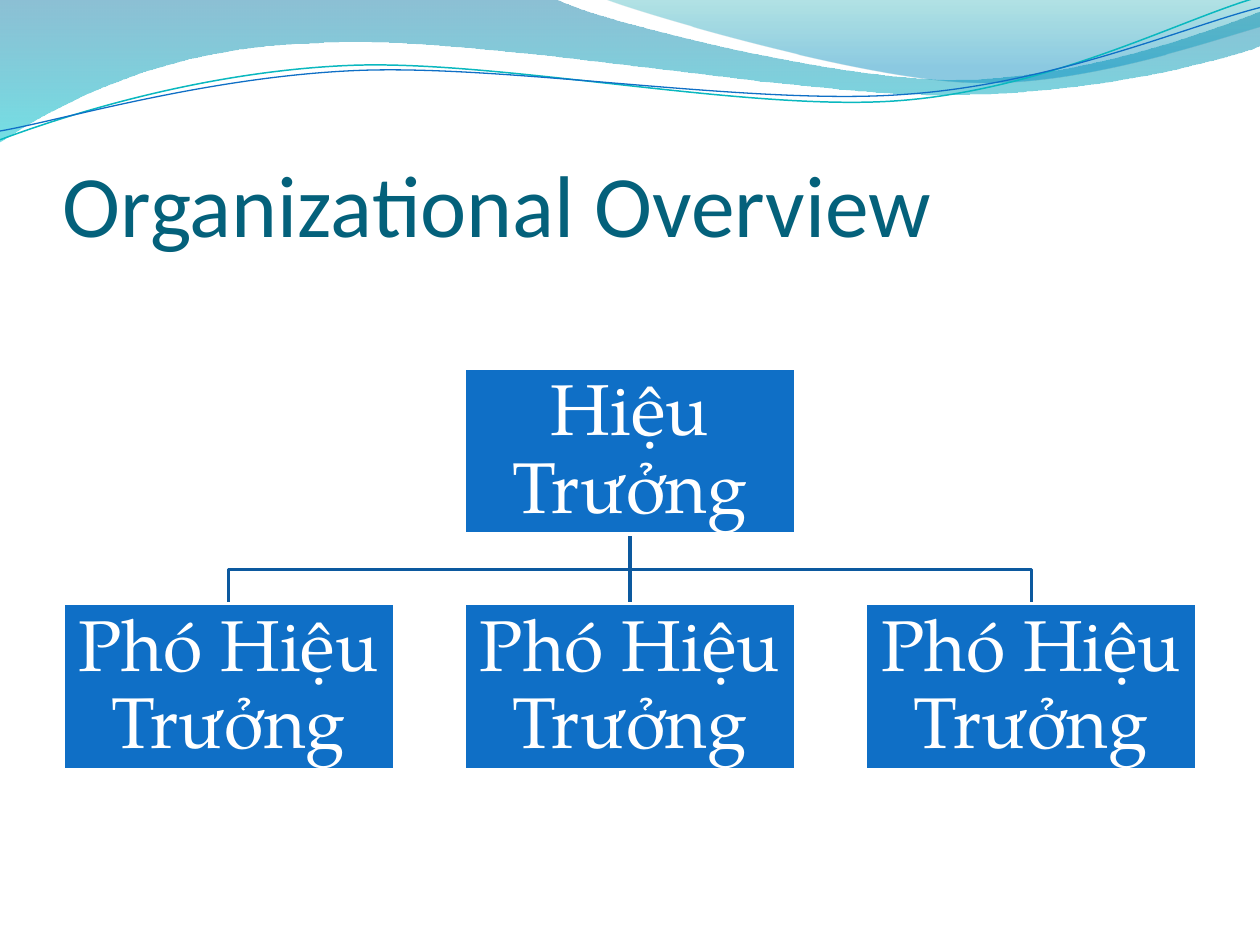
import lxml.etree
import pptx
import pptx.util
import pptx.dml.color
import pptx.enum.shapes
import pptx.enum.text
import pptx.oxml.ns
from pptx.util import Inches
from dataclasses import dataclass


@dataclass(frozen=True)
class Theme:
    blue: str = "0F6FC6"
    branch: str = "0C599F"
    teal: str = "0AB8BF"
    title: str = "04617B"
    white: str = "FFFFFF"
    title_font: str = "Calibri"
    box_font: str = "TeX Gyre Pagella"
    title_size: int = 50
    box_size: int = 41


theme = Theme()
ANCHOR = pptx.enum.text.MSO_ANCHOR
ALIGN = pptx.enum.text.PP_ALIGN
rgb = pptx.dml.color.RGBColor.from_string
qn = pptx.oxml.ns.qn


def write_text(shape, text, *, font, size, color, anchor, align, margins, spacing=1.0):
    """Fill a shape with one paragraph; margins run left, top, right, bottom."""
    frame = shape.text_frame
    frame.word_wrap = True
    frame.vertical_anchor = anchor
    frame.margin_left, frame.margin_top, frame.margin_right, frame.margin_bottom = map(Inches, margins)
    para = frame.paragraphs[0]
    para.alignment = align
    para.line_spacing = spacing
    span = para.add_run()
    span.text = text
    span.font.name = font
    span.font.size = pptx.util.Pt(size)
    span.font.color.rgb = rgb(color)


def draw_outline(shapes, start, segments, closed=False):
    """Each segment is an end point (x, y), or six numbers for a cubic curve."""
    ends = [start] + [segment[-2:] for segment in segments]
    xs, ys = zip(*ends)
    left, right, top, bottom = min(xs), max(xs), min(ys), max(ys)
    if left == right:  # a vertical line still needs a frame with some width
        left, right = left - 0.05, right + 0.05
    builder = shapes.build_freeform(Inches(left), Inches(top), scale=1.0)
    builder.add_line_segments([(Inches(right), Inches(bottom))], close=False)
    shape = builder.convert_to_shape()
    shape.shadow.inherit = False

    outline = next(shape.element.spPr.iter(qn("a:path")))
    for child in list(outline):
        outline.remove(child)
    tags = {2: "a:lnTo", 6: "a:cubicBezTo"}
    commands = [("a:moveTo", start)] + [(tags[len(segment)], segment) for segment in segments]
    for tag, numbers in commands:
        command = lxml.etree.SubElement(outline, qn(tag))
        for x, y in zip(numbers[::2], numbers[1::2]):
            lxml.etree.SubElement(command, qn("a:pt"), x=str(Inches(x) - Inches(left)),
                                  y=str(Inches(y) - Inches(top)))
    if closed:
        lxml.etree.SubElement(outline, qn("a:close"))
    return shape


deck = pptx.Presentation()
deck.slide_width, deck.slide_height = Inches(10), Inches(7.5)
page = deck.slides.add_slide(deck.slide_layouts[6])
shapes = page.shapes

# Header waves: start, segments, gradient stops (position, colour, opacity in percent)
waves = [
    ((0, 0),
     [(4.4, -0.01), (4.76, 0.17, 6.64, 0.63, 7.58, 0.63), (8.53, 0.63, 9.58, 0.26, 10, 0.09),
      (10.01, 0.36), (9.83, 0.44, 8.7, 0.76, 7.46, 0.75), (6.22, 0.75, 3.82, 0.28, 2.57, 0.34),
      (1.29, 0.36, 0.46, 0.83, -0.01, 1.13), (0, 0)],
     [(0, "0074A1", 45), (1, "00C6CF", 55)]),
    ((4.79, -0.01),
     [(5.09, 0.11, 6.82, 0.62, 7.69, 0.65), (8.56, 0.69, 9.61, 0.32, 10, 0.21), (10, 0),
      (4.79, -0.01)],
     [(0, "00A1A9", 30), (0.8, "008BBF", 45)]),
]
for start, segments, stops in waves:
    wave = draw_outline(shapes, start, segments, closed=True)
    wave.line.fill.background()
    wave.fill.gradient()
    wave.fill.gradient_angle = 270
    for stop, (position, color, opacity) in zip(wave.fill.gradient_stops, stops):
        stop.position = position
        stop.color.rgb = rgb(color)
    colors = wave.element.spPr.iter(qn("a:srgbClr"))
    for element, (position, color, opacity) in zip(colors, stops):
        lxml.etree.SubElement(element, qn("a:alpha"), val=str(opacity * 1000))

strands = [
    ((0, 1.11), [(0.48, 0.93, 1.58, 0.57, 2.77, 0.52), (3.95, 0.47, 5.93, 0.89, 7.13, 0.8),
                 (8.33, 0.71, 9.38, 0.15, 9.98, -0.02)], theme.teal, 0.85),
    ((0, 1.04), [(0.47, 0.96, 1.64, 0.61, 2.83, 0.56), (4.03, 0.51, 5.97, 0.84, 7.17, 0.75),
                 (8.36, 0.67, 9.41, 0.21, 10, 0.06)], theme.blue, 0.75),
]
for start, segments, color, width in strands:
    strand = draw_outline(shapes, start, segments)
    strand.fill.background()
    strand.line.color.rgb = rgb(color)
    strand.line.width = pptx.util.Pt(width)

title = shapes.add_textbox(Inches(0.5), Inches(0.77), Inches(9), Inches(1.25))
write_text(title, "Organizational Overview", font=theme.title_font, size=theme.title_size,
           color=theme.title, anchor=ANCHOR.BOTTOM, align=ALIGN.LEFT, margins=(0, 0.05, 0, 0))

# Organization chart: one head above three deputies
chart_width, box_width, box_height = 9, 2.63, 1.32
head_top, deputy_top = 2.92, 4.79
head_bottom = head_top + box_height
branch_y = 4.52
center = 5
pitch = (chart_width - box_width) / 2
deputy_centers = [center + offset * pitch for offset in (1, 0, -1)]

for x in deputy_centers:
    corners = [] if x == center else [(center, branch_y), (x, branch_y)]
    branch = draw_outline(shapes, (center, head_bottom), corners + [(x, deputy_top)])
    branch.fill.background()
    branch.line.color.rgb = rgb(theme.branch)
    branch.line.width = pptx.util.Pt(2)

posts = [("Hiệu Trưởng", center, head_top)]
posts += [("Phó Hiệu Trưởng", x, deputy_top) for x in reversed(deputy_centers)]
for name, x, top in posts:
    box = shapes.add_shape(pptx.enum.shapes.MSO_SHAPE.RECTANGLE, Inches(x - box_width / 2),
                           Inches(top), Inches(box_width), Inches(box_height))
    box.shadow.inherit = False
    box.fill.solid()
    box.fill.fore_color.rgb = rgb(theme.blue)
    box.line.color.rgb = rgb(theme.white)
    box.line.width = pptx.util.Pt(2)
    write_text(box, name, font=theme.box_font, size=theme.box_size, color=theme.white,
               anchor=ANCHOR.MIDDLE, align=ALIGN.CENTER, margins=[0.03] * 4, spacing=0.9)

deck.save("out.pptx")
